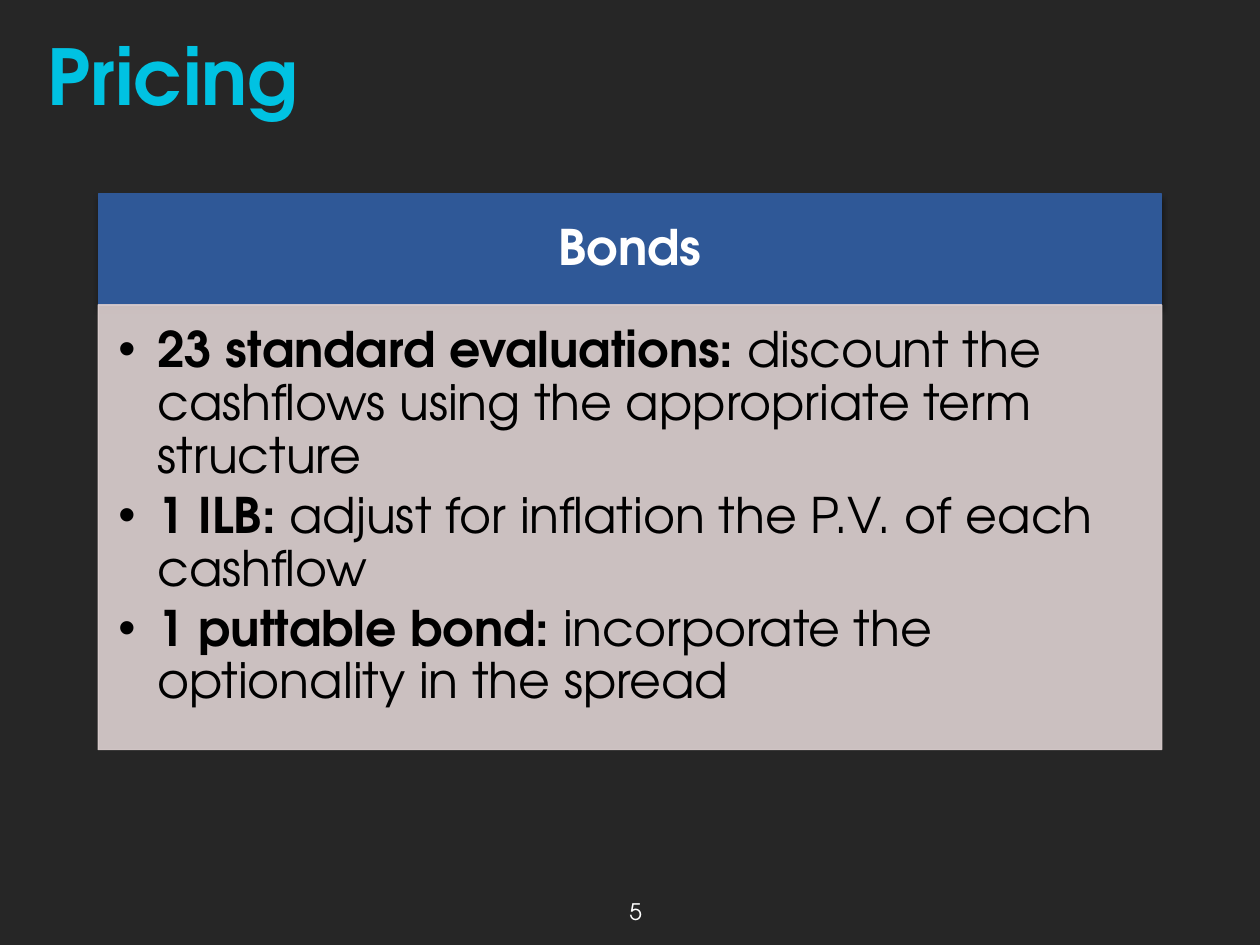
from lxml.etree import SubElement
from pptx import Presentation
from pptx.dml.color import RGBColor
from pptx.enum.shapes import MSO_SHAPE
from pptx.enum.text import MSO_ANCHOR, PP_ALIGN
from pptx.oxml.ns import qn
from pptx.util import Inches, Pt

COLOURS = {
    "backdrop": "262626",
    "title": "00C2E2",
    "header": "2F5897",
    "panel": "DED1D1",
    "panel_line": "D9CCCC",
    "dark_text": "000000",
    "light_text": "FFFFFF",
}
FONT = "TeX Gyre Adventor"
TEXT_INSETS = (0.1, 0.05, 0.1, 0.05)
BULLETS = [
    ("23 standard evaluations: ", "discount the cashflows using the appropriate term structure"),
    ("1 ILB:", " adjust for inflation the P.V. of each cashflow"),
    ("1 puttable bond: ", "incorporate the optionality in the spread"),
]


def colour(name):
    return RGBColor.from_string(COLOURS[name])


def set_opacity(solid_fill, percent):
    SubElement(solid_fill[0], qn("a:alpha"), val=str(percent * 1000))


class SlideBuilder:
    """Holds the text style and the page being filled."""

    def __init__(self, page, font=FONT):
        self.page = page
        self.font = font

    def rectangle(self, place, fill, line=None, opacity=100):
        shape = self.page.shapes.add_shape(MSO_SHAPE.RECTANGLE, *map(Inches, place))
        shape.shadow.inherit = False
        shape.fill.solid()
        shape.fill.fore_color.rgb = colour(fill)
        if line is None:
            shape.line.fill.background()
        else:
            shape.line.color.rgb = colour(line)
            shape.line.width = Pt(0.75)
        if opacity < 100:
            for solid_fill in shape.element.spPr.iter(qn("a:solidFill")):
                set_opacity(solid_fill, opacity)
        return shape

    def drop_shadow(self, shape):
        effects = shape.element.spPr.find(qn("a:effectLst"))
        shadow = SubElement(effects, qn("a:outerShdw"), blurRad=str(Pt(3.1)),
                            dist=str(Pt(1.8)), dir="5400000", rotWithShape="0")
        tint = SubElement(shadow, qn("a:srgbClr"), val="000000")
        SubElement(tint, qn("a:alpha"), val="35000")

    def frame(self, shape, insets, anchor):
        frame = shape.text_frame
        frame.word_wrap = True
        frame.vertical_anchor = anchor
        (frame.margin_left, frame.margin_top,
         frame.margin_right, frame.margin_bottom) = map(Inches, insets)
        return frame

    def span(self, paragraph, text, size, tone, bold=False):
        span = paragraph.add_run()
        span.text = text
        span.font.name = self.font
        span.font.size = Pt(size)
        span.font.bold = bold
        span.font.color.rgb = colour(tone)

    def label(self, shape, text, size, tone, bold=False,
              align=PP_ALIGN.CENTER, insets=TEXT_INSETS, anchor=MSO_ANCHOR.MIDDLE):
        paragraph = self.frame(shape, insets, anchor).paragraphs[0]
        paragraph.alignment = align
        self.span(paragraph, text, size, tone, bold)
        return paragraph

    def text_box(self, place, text, size, tone, **style):
        box = self.page.shapes.add_textbox(*map(Inches, place))
        return self.label(box, text, size, tone, **style)

    def bullet_list(self, shape, items, size, tone, insets):
        """Fill the shape with bullets, each a bold lead and a plain remainder."""
        frame = self.frame(shape, insets, MSO_ANCHOR.TOP)
        for index, (lead, remainder) in enumerate(items):
            paragraph = frame.add_paragraph() if index else frame.paragraphs[0]
            paragraph.alignment = PP_ALIGN.LEFT
            paragraph.level = 1
            paragraph.line_spacing = 0.9
            paragraph.space_after = Pt(4)
            properties = paragraph._p.get_or_add_pPr()
            properties.set("marL", str(Inches(0.31)))
            properties.set("indent", str(-Inches(0.31)))
            SubElement(properties, qn("a:buFont"), typeface="Arial")
            SubElement(properties, qn("a:buChar"), char="•")
            self.span(paragraph, lead, size, tone, bold=True)
            self.span(paragraph, remainder, size, tone)


def main():
    deck = Presentation()
    deck.slide_width, deck.slide_height = Inches(10), Inches(7.5)
    builder = SlideBuilder(deck.slides.add_slide(deck.slide_layouts[6]))

    builder.rectangle((0, 0, 10, 7.5), "backdrop")
    builder.text_box((0.28, -0.03, 9.28, 1.25), "Pricing", 44, "title",
                     bold=True, align=PP_ALIGN.LEFT)

    left, top, width, header_height, panel_height = 0.78, 1.54, 8.44, 0.88, 3.53
    header = builder.rectangle((left, top, width, header_height), "header", line="header")
    builder.drop_shadow(header)
    heading = builder.label(header, "Bonds", 28, "light_text", bold=True,
                            insets=(0.22, 0.12, 0.22, 0.12))
    heading.line_spacing = 0.9
    heading.space_after = Pt(10)

    panel = builder.rectangle((left, top + header_height, width, panel_height),
                              "panel", line="panel_line", opacity=90)
    builder.bullet_list(panel, BULLETS, 28, "dark_text", insets=(0.16, 0.16, 0.22, 0.24))

    builder.text_box((4, 7.08, 2.09, 0.33), "5", 13, "light_text", anchor=MSO_ANCHOR.TOP)
    deck.save("out.pptx")


if __name__ == "__main__":
    main()
